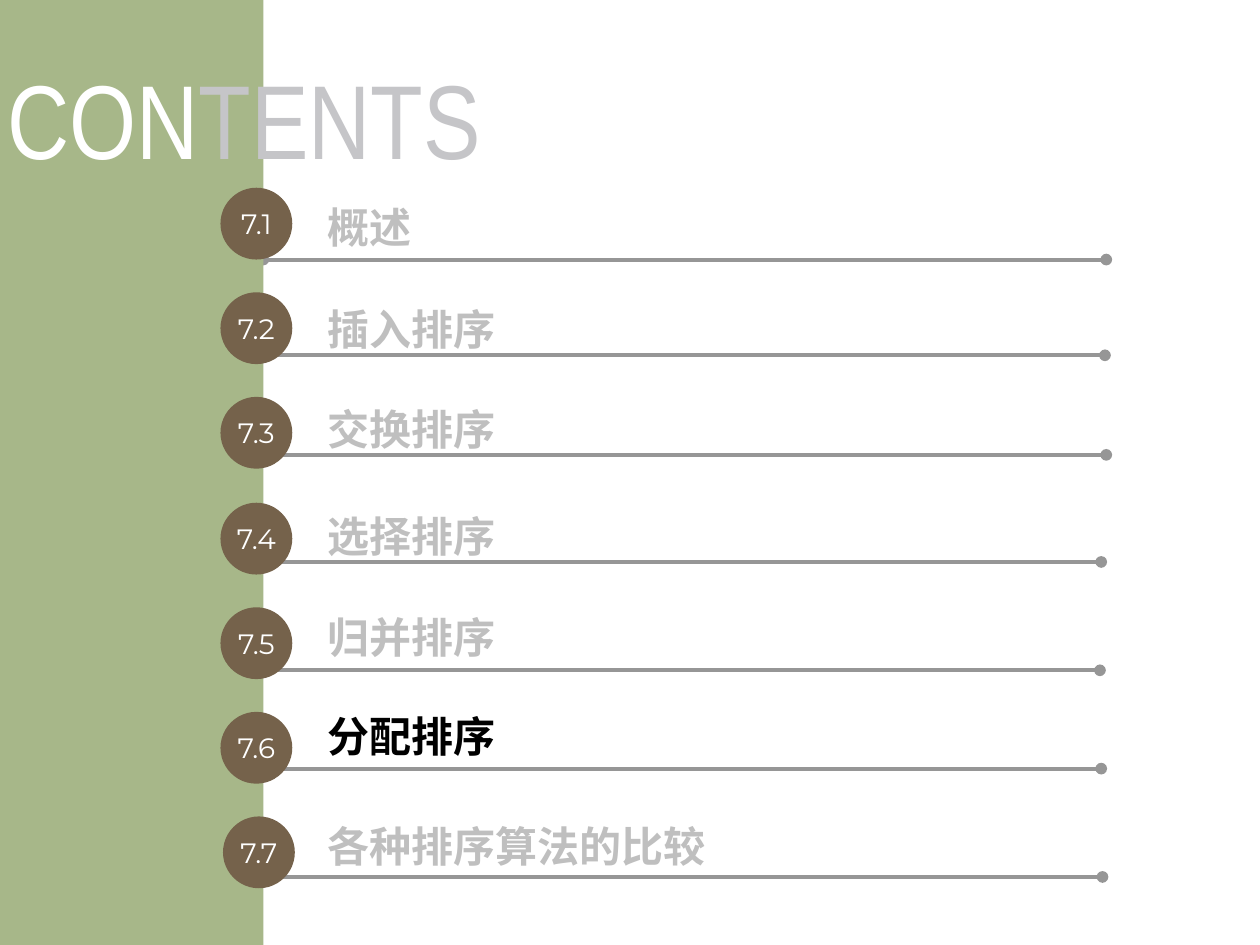
"""Build a contents slide with numbered topics beside a green band."""
from lxml import etree
from pptx import Presentation
from pptx import util as u
from pptx.dml.color import RGBColor
from pptx.enum import shapes, text
from pptx.oxml.ns import qn

GREEN = RGBColor(0xA7, 0xB7, 0x89)
BROWN = RGBColor(0x75, 0x62, 0x4B)
WHITE = RGBColor(0xFF, 0xFF, 0xFF)
BLACK = RGBColor(0x00, 0x00, 0x00)
RULE_GRAY = RGBColor(0x96, 0x96, 0x96)
TOPIC_GRAY = RGBColor(0xBF, 0xBF, 0xBF)
TITLE_GRAY = RGBColor(0xC5, 0xC5, 0xC8)

TITLE = [("CON", WHITE), ("TENTS", TITLE_GRAY)]
CURRENT = "分配排序"
# number, topic, topic top, topic width, rule left, rule height
TOPICS = [
    ("7.1", "概述", 1.6, 3.56, 2.09, 2.06),
    ("7.2", "插入排序", 2.41, 2.55, 2.08, 2.82),
    ("7.3", "交换排序", 3.2, 3.24, 2.09, 3.61),
    ("7.4", "选择排序", 4.05, 2.94, 2.05, 4.46),
    ("7.5", "归并排序", 4.85, 4.11, 2.04, 5.32),
    ("7.6", "分配排序", 5.64, 4.31, 2.05, 6.1),
    ("7.7", "各种排序算法的比较", 6.51, 4.11, 2.06, 6.96),
]
WIDTH, HEIGHT = 10, 7.5
BAND_WIDTH = 2.09
TOPIC_LEFT, TOPIC_HEIGHT = 2.5, 0.4
RULE_LENGTH = 6.69
BADGE_SIZE, BADGE_LEFT, BADGE_TOP, BADGE_STEP = 0.57, 1.75, 1.49, 0.832
LAST_BADGE_LEFT = 1.77


def box(left, top, width, height):
    return [u.Inches(value) for value in (left, top, width, height)]


def add_run(paragraph, words, font_name, size, color, bold=False):
    run = paragraph.add_run()
    run.text = words
    run.font.name = font_name
    run.font.size = u.Pt(size)
    run.font.bold = bold
    run.font.color.rgb = color
    east_asian = etree.SubElement(run.font._element, qn("a:ea"))
    east_asian.set("typeface", font_name)


def add_rule(slide, left, height):
    rule = slide.shapes.add_connector(
        shapes.MSO_CONNECTOR.STRAIGHT,
        *box(left, height, left + RULE_LENGTH, height))
    rule.line.color.rgb = RULE_GRAY
    rule.line.width = u.Pt(2.25)
    for end in ("a:headEnd", "a:tailEnd"):
        etree.SubElement(rule.line._get_or_add_ln(), qn(end)).set("type", "oval")
    etree.SubElement(rule._element.spPr, qn("a:effectLst"))


def add_topic(slide, topic, top, width):
    shape = slide.shapes.add_textbox(*box(TOPIC_LEFT, top, width, TOPIC_HEIGHT))
    frame = shape.text_frame
    frame.word_wrap = True
    frame.vertical_anchor = text.MSO_ANCHOR.MIDDLE
    color = BLACK if topic == CURRENT else TOPIC_GRAY
    add_run(frame.paragraphs[0], topic, "Noto Sans CJK SC", 24, color, True)


def add_filled(slide, kind, place, color):
    shape = slide.shapes.add_shape(kind, *place)
    shape.shadow.inherit = False
    shape.fill.solid()
    shape.fill.fore_color.rgb = color
    shape.line.fill.background()
    return shape


def add_badge(slide, number, left, top):
    badge = add_filled(slide, shapes.MSO_SHAPE.OVAL,
                       box(left, top, BADGE_SIZE, BADGE_SIZE), BROWN)
    frame = badge.text_frame
    frame.margin_left = frame.margin_right = 0
    frame.margin_top = frame.margin_bottom = 0
    frame.word_wrap = False
    frame.vertical_anchor = text.MSO_ANCHOR.MIDDLE
    paragraph = frame.paragraphs[0]
    paragraph.alignment = text.PP_ALIGN.CENTER
    add_run(paragraph, number, "Montserrat", 16, WHITE)


def set_title(title):
    title.left, title.top, title.width, title.height = box(-0.04, 0.35, 4.88, 1.16)
    frame = title.text_frame
    frame.word_wrap = True
    frame.auto_size = text.MSO_AUTO_SIZE.NONE
    frame.vertical_anchor = text.MSO_ANCHOR.MIDDLE
    paragraph = frame.paragraphs[0]
    paragraph.alignment = text.PP_ALIGN.LEFT
    for words, color in TITLE:
        add_run(paragraph, words, "Arial Narrow", 60, color)


def main():
    presentation = Presentation()
    presentation.slide_width = u.Inches(WIDTH)
    presentation.slide_height = u.Inches(HEIGHT)
    slide = presentation.slides.add_slide(presentation.slide_layouts[5])

    for _, topic, top, width, rule_left, rule_height in TOPICS:
        add_rule(slide, rule_left, rule_height)
        add_topic(slide, topic, top, width)

    band = add_filled(slide, shapes.MSO_SHAPE.RECTANGLE,
                      box(0, 0, BAND_WIDTH, HEIGHT), GREEN)
    title = slide.shapes.title
    set_title(title)
    band._element.addnext(title._element)

    for index, (number, *_) in enumerate(TOPICS):
        left = LAST_BADGE_LEFT if index == len(TOPICS) - 1 else BADGE_LEFT
        add_badge(slide, number, left, round(BADGE_TOP + index * BADGE_STEP, 2))

    presentation.save("out.pptx")


if __name__ == "__main__":
    main()
